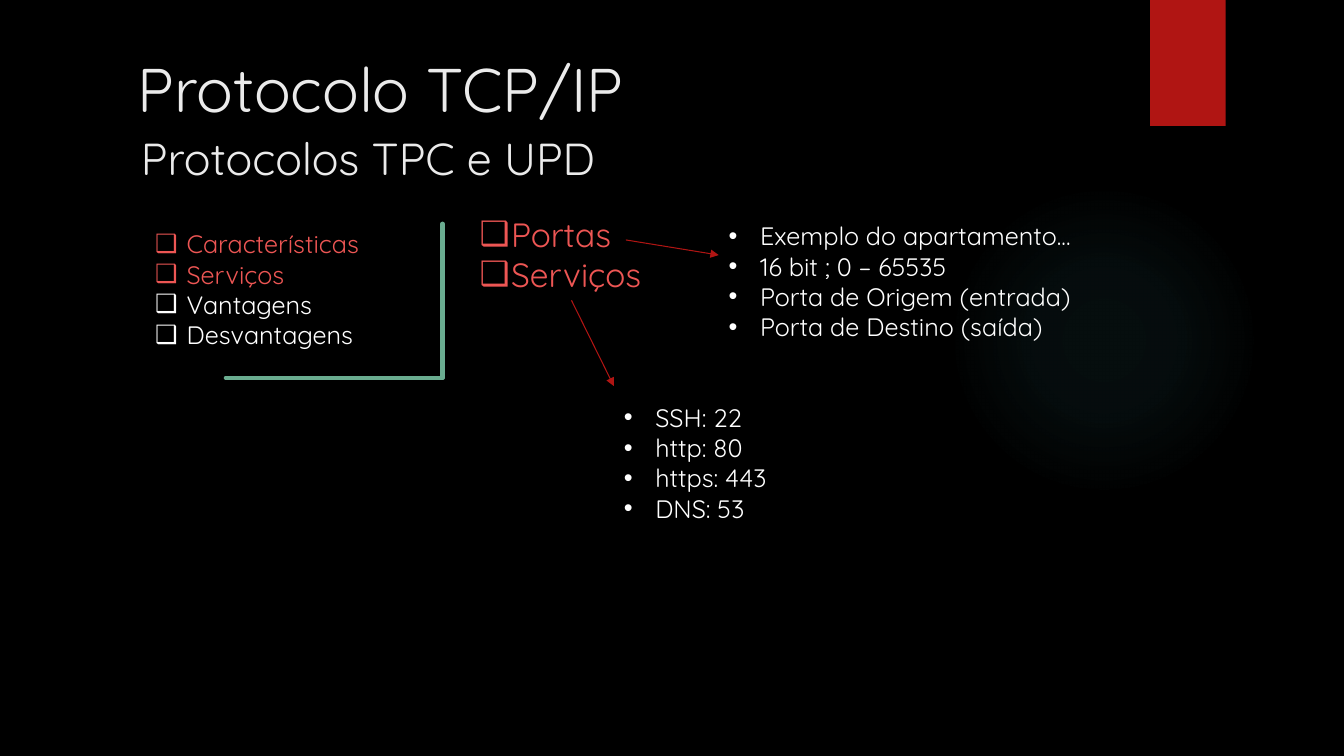
"""Build the slide on TCP/IP ports and services."""
from lxml.etree import SubElement
from pptx import Presentation
from pptx.dml.color import RGBColor
from pptx.enum.shapes import MSO_CONNECTOR, MSO_SHAPE
from pptx.enum.text import MSO_ANCHOR
from pptx.oxml import parse_xml
from pptx.oxml.ns import nsdecls, qn
from pptx.util import Pt

COLORS = {"back": "000000", "title": "EBEBEB", "text": "FFFFFF", "accent": "ED5654",
          "red": "B01513", "green": "6AAC90", "glow": "50B9C1"}
FONT = "Quicksand"
INDENT = Pt(22.5)


def rgb(name):
    """Return a named colour."""
    return RGBColor.from_string(COLORS[name])


def add_backdrop(s, glow_box, tab_box):
    """Draw the faint round glow and the red tab."""
    glow, tab = (s.shapes.add_shape(g, *map(Pt, box)) for g, box in
                 ((MSO_SHAPE.OVAL, glow_box), (MSO_SHAPE.RECTANGLE, tab_box)))
    for sp in (glow, tab):
        sp.shadow.inherit = False
        sp.line.fill.background()
    tab.fill.solid()
    tab.fill.fore_color.rgb = rgb("red")
    stops = "".join(
        f'<a:gs pos="{pos * 1000}"><a:srgbClr val="{COLORS["glow"]}">'
        f'<a:alpha val="{alpha * 1000}"/></a:srgbClr></a:gs>'
        for pos, alpha in ((0, 7), (36, 6), (69, 0)))
    grad = parse_xml(
        f'<a:gradFill {nsdecls("a")}><a:gsLst>{stops}</a:gsLst><a:path path="circle">'
        '<a:fillToRect l="50000" t="50000" r="50000" b="50000"/></a:path></a:gradFill>')
    glow.element.spPr.find(qn("a:prstGeom")).addnext(grad)


def add_text(s, box, size, lines, bullet=None, anchor=MSO_ANCHOR.TOP):
    """Place lines of (text, colour) in a box, with bullets if a sign is given."""
    tf = s.shapes.add_textbox(*map(Pt, box)).text_frame
    for name, value in {"word_wrap": True, "vertical_anchor": anchor}.items():
        setattr(tf, name, value)
    for i, (text, color) in enumerate(lines):
        p = tf.add_paragraph() if i else tf.paragraphs[0]
        r = p.add_run()
        r.text = text
        for name, value in {"name": FONT, "size": Pt(size)}.items():
            setattr(r.font, name, value)
        r.font.color.rgb = rgb(color)
        if bullet:
            pPr = p._p.get_or_add_pPr()
            pPr.set("marL", str(INDENT))
            pPr.set("indent", str(-INDENT))
            SubElement(pPr, qn("a:buFont"), typeface="Arial")
            SubElement(pPr, qn("a:buChar"), char=bullet)


def add_line(s, start, end, color, width, arrow=False):
    """Draw a straight line, with an arrowhead or round ends."""
    c = s.shapes.add_connector(MSO_CONNECTOR.STRAIGHT, *map(Pt, start + end))
    c.line.color.rgb = rgb(color)
    c.line.width = Pt(width)
    ln = c.line._get_or_add_ln()
    if arrow:
        SubElement(ln, qn("a:tailEnd"), type="triangle")
    else:
        ln.set("cap", "rnd")
    SubElement(c._element.spPr, qn("a:effectLst"))


def add_headings(s, x, y, w, h):
    """Place the title and the subtitle below it."""
    for dx, dy, size, text in ((0, 0, 44, "Protocolo TCP/IP"),
                               (2.2, 42.5, 32, "Protocolos TPC e UPD")):
        add_text(s, (x + dx, y + dy, w, h), size, [(text, "title")], anchor=MSO_ANCHOR.BOTTOM)


def add_agenda(s, x, y, w, h):
    """Place the agenda list and its green corner."""
    add_text(s, (x, y, w, h), 18,
             [("Características", "accent"), ("Serviços", "accent"),
              ("Vantagens", "text"), ("Desvantagens", "text")], "❑")
    corner = (x + w + 43.2, y + h + 15.8)
    add_line(s, (corner[0], y), corner, "green", 3)
    add_line(s, corner, (x + 57.6, corner[1]), "green", 3)


def add_topics(s, x, y, w, h):
    """Place the two topics, their details and the arrows between them."""
    add_text(s, (x, y, w, h), 24, [("Portas", "accent"), ("Serviços", "accent")], "❑")
    details = (
        (177.9, 5, ("Exemplo do apartamento...", "16 bit ; 0 – 65535",
                    "Porta de Origem (entrada)", "Porta de Destino (saída)")),
        (103, 134.7, ("SSH: 22", "http: 80", "https: 443", "DNS: 53")))
    for dx, dy, lines in details:
        add_text(s, (x + dx, y + dy, 337, 94.3), 18, [(t, "text") for t in lines], "•")
    for x1, y1, x2, y2 in ((72.7, h, 103, 126.8), (111.6, 22.4, 177.9, 33.2)):
        add_line(s, (x + x1, y + y1), (x + x2, y + y2), "red", 0.75, True)


def main():
    """Build and save the slide."""
    prs = Presentation()
    prs.slide_width, prs.slide_height = Pt(960), Pt(540)
    s = prs.slides.add_slide(prs.slide_layouts[6])
    s.background.fill.solid()
    s.background.fill.fore_color.rgb = rgb("back")
    add_backdrop(s, (677.5, 131.8, 221.8, 221.8), (821.5, 0, 54, 90))
    add_headings(s, 91.4, 19.4, 694.8, 73.4)
    add_agenda(s, 103.7, 159.8, 169.2, 94.3)
    add_topics(s, 335.5, 149, 144, 65.5)
    prs.save("out.pptx")


if __name__ == "__main__":
    main()
